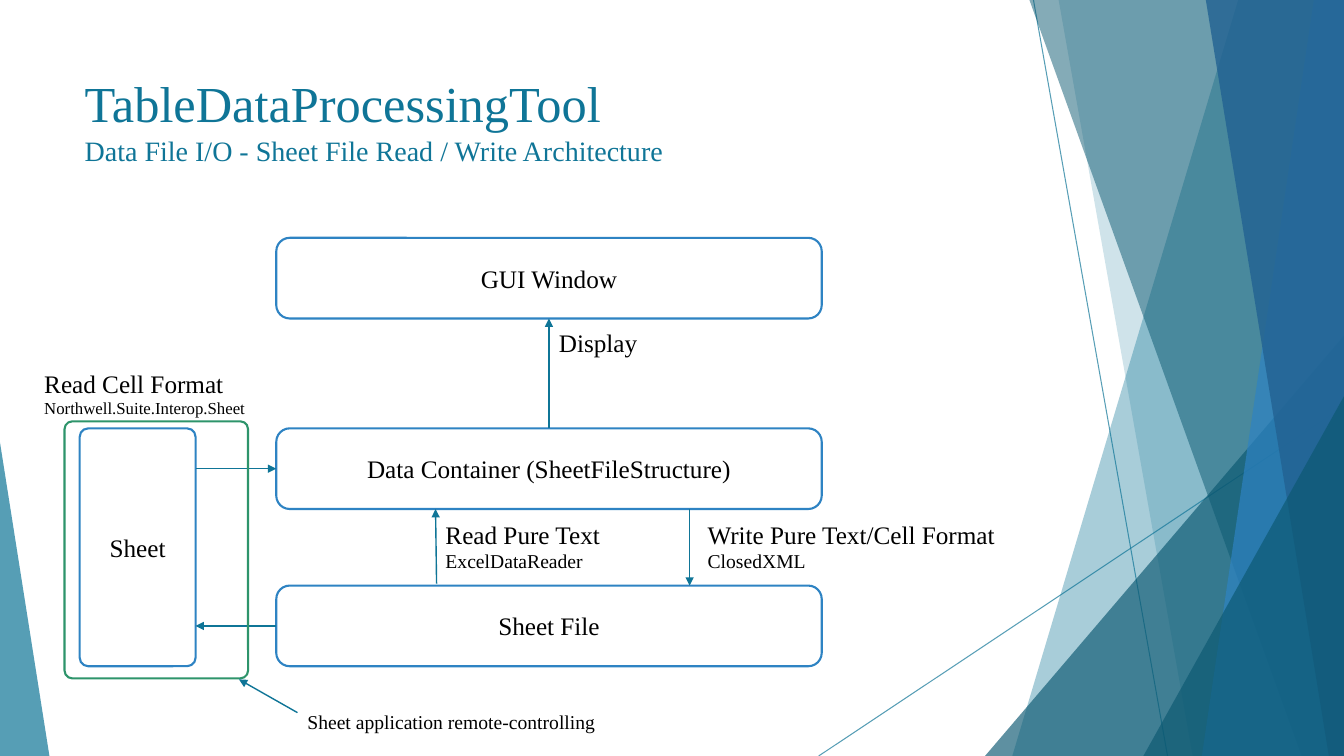
from dataclasses import dataclass

from pptx import Presentation
from pptx import util as u
from pptx.dml.color import RGBColor
from pptx.enum import shapes, text
from pptx.oxml.ns import qn
from lxml import etree

TEAL = RGBColor(0x0F, 0x75, 0x97)
DEEP_TEAL = RGBColor(0x0B, 0x58, 0x71)
BLUE = RGBColor(0x2E, 0x83, 0xC3)
NAVY = RGBColor(0x22, 0x62, 0x92)
GREEN = RGBColor(0x2E, 0x94, 0x6B)
WHITE = RGBColor(0xFF, 0xFF, 0xFF)
BLACK = RGBColor(0, 0, 0)
FONT = "Times New Roman"
CELL = u.Inches(0.1)
COLUMNS, ROWS = 133.3, 75


@dataclass
class Box:
    left: float
    top: float
    width: float
    height: float

    def area(self, left, top, width, height):
        return Box(self.left + left, self.top + top, width, height)

    def point(self, column, row):
        return cells(self.left + column), cells(self.top + row)

    def emu(self):
        return [cells(n) for n in (self.left, self.top, self.width, self.height)]


def cells(count):
    return u.Emu(round(count * CELL))


def set_alpha(fill, percent):
    color = fill._xPr.find(qn("a:solidFill"))[0]
    etree.SubElement(color, qn("a:alpha")).set("val", str(percent * 1000))


def paint(shape, color, percent):
    shape.shadow.inherit = False
    shape.fill.solid()
    shape.fill.fore_color.rgb = color
    set_alpha(shape.fill, percent)
    shape.line.fill.background()


def add_span(para, words, size, color=BLACK):
    span = para.add_run()
    span.text = words
    span.font.name = FONT
    span.font.size = u.Pt(size)
    span.font.color.rgb = color


def add_line(page, box, start, end, width=1):
    line = page.shapes.add_connector(
        shapes.MSO_CONNECTOR.STRAIGHT, *box.point(*start), *box.point(*end))
    line.line.color.rgb = TEAL
    line.line.width = u.Pt(width)
    etree.SubElement(line._element.spPr, qn("a:effectLst"))
    return line


def add_arrow(page, box, start, end):
    arrow = add_line(page, box, start, end)
    etree.SubElement(arrow.line._get_or_add_ln(), qn("a:tailEnd")).set("type", "triangle")


def add_panel(page, box, words=None, line=BLUE, corner=0.1667):
    panel = page.shapes.add_shape(shapes.MSO_SHAPE.ROUNDED_RECTANGLE, *box.emu())
    panel.adjustments[0] = corner
    panel.shadow.inherit = False
    panel.line.color.rgb = line
    panel.line.width = u.Pt(1.5)
    if words is None:
        panel.fill.background()
        return
    panel.fill.solid()
    panel.fill.fore_color.rgb = WHITE
    panel.text_frame.vertical_anchor = text.MSO_ANCHOR.MIDDLE
    para = panel.text_frame.paragraphs[0]
    para.alignment = text.PP_ALIGN.CENTER
    add_span(para, words, 18)


def add_label(page, box, *lines):
    frame = page.shapes.add_textbox(*box.emu()).text_frame
    frame.word_wrap = True
    for index, (words, size) in enumerate(lines):
        para = frame.add_paragraph() if index else frame.paragraphs[0]
        add_span(para, words, size)


def draw_shard(page, box, top_column, bottom_column, color, percent):
    builder = page.shapes.build_freeform(*box.point(top_column, 0), scale=1.0)
    builder.add_line_segments([
        box.point(box.width, 0),
        box.point(box.width, box.height),
        box.point(bottom_column, box.height),
    ], close=True)
    paint(builder.convert_to_shape(), color, percent)


def draw_corner(page, box, apex, color, percent):
    corner = page.shapes.add_shape(shapes.MSO_SHAPE.ISOSCELES_TRIANGLE, *box.emu())
    corner.adjustments[0] = apex
    paint(corner, color, percent)


def draw_right_corner(page, box, width, height, color, percent):
    area = box.area(box.width - width, box.height - height, width, height)
    draw_corner(page, area, 1, color, percent)


def draw_backdrop(page, box):
    for start, end in (((102.5, 0), (115.8, box.height)),
                       ((box.width, 40.3), (81.2, box.height))):
        line = add_line(page, box, start, end, 0.75)
        set_alpha(line.line.fill, 70)
    draw_shard(page, box, 122.8, 100.4, TEAL, 36)
    draw_shard(page, box, 105, 118.3, TEAL, 20)
    draw_right_corner(page, box, 35.6, 41.7, DEEP_TEAL, 66)
    draw_shard(page, box, 102.1, 129.1, DEEP_TEAL, 50)
    draw_shard(page, box, 130.3, 119.2, BLUE, 70)
    draw_shard(page, box, 119.6, 131.8, NAVY, 80)
    draw_right_corner(page, box, 19.9, 35.7, DEEP_TEAL, 66)
    draw_corner(page, box.area(0, 43.9, 4.9, 31.1), 0, TEAL, 70)


def write_heading(page, box):
    title = page.shapes.title
    title.left, title.top, title.width, title.height = box.emu()
    frame = title.text_frame
    frame.word_wrap = True
    frame.vertical_anchor = text.MSO_ANCHOR.TOP
    para = frame.paragraphs[0]
    para.alignment = text.PP_ALIGN.LEFT
    para.line_spacing = 1.0
    add_span(para, "TableDataProcessingTool", 36, TEAL)
    para.add_line_break()
    add_span(para, "Data File I/O - Sheet File Read / Write Architecture", 20, TEAL)


def draw_layers(page, box):
    depth = 8
    window, container, file = 0, 18.9, box.height - depth
    middle = box.width / 2
    for row, words in ((window, "GUI Window"),
                       (container, "Data Container (SheetFileStructure)"),
                       (file, "Sheet File")):
        add_panel(page, box.area(0, row, box.width, depth), words)
    below = container + depth
    add_arrow(page, box, (middle, container), (middle, window + depth))
    add_arrow(page, box, (15.9, file - 0.2), (15.8, below))
    add_arrow(page, box, (41, below), (41, file))
    add_label(page, box.area(middle, 8.4, 11.3, 4), ("Display", 18))
    add_label(page, box.area(15.8, below + 0.5, 21.8, 6.4),
              ("Read Pure Text", 18), ("ExcelDataReader", 14))
    add_label(page, box.area(41.8, below + 0.5, 31.6, 6.4),
              ("Write Pure Text/Cell Format", 18), ("ClosedXML", 14))


def draw_remote_control(page, box):
    add_panel(page, box.area(4.5, 6.5, 11.5, 23.6), "Sheet", corner=0.074)
    add_arrow(page, box, (24, 26.1), (16, 26.1))
    add_arrow(page, box, (16, 10.5), (24, 10.5))
    add_label(page, box.area(0, 0, 24.2, 6.1),
              ("Read Cell Format", 18), ("Northwell.Suite.Interop.Sheet", 12))
    add_panel(page, box.area(3, 5.8, 18.2, 25.5), line=GREEN, corner=0.042)
    add_arrow(page, box, (26.1, 34.7), (20.3, 31.4))
    add_label(page, box.area(26.1, 33.9, 34.2, 3.4),
              ("Sheet application remote-controlling", 14))


def main():
    deck = Presentation()
    deck.slide_width, deck.slide_height = cells(COLUMNS), cells(ROWS)
    page = deck.slides.add_slide(deck.slide_layouts[5])
    page.background.fill.solid()
    page.background.fill.fore_color.rgb = WHITE
    draw_backdrop(page, Box(0, 0, COLUMNS, ROWS))
    write_heading(page, Box(7.4, 6.7, 94, 14.4))
    draw_layers(page, Box(27.4, 23.6, 54.1, 42.5))
    draw_remote_control(page, Box(3.4, 36, 60.3, 37.3))
    deck.save("out.pptx")


if __name__ == "__main__":
    main()
